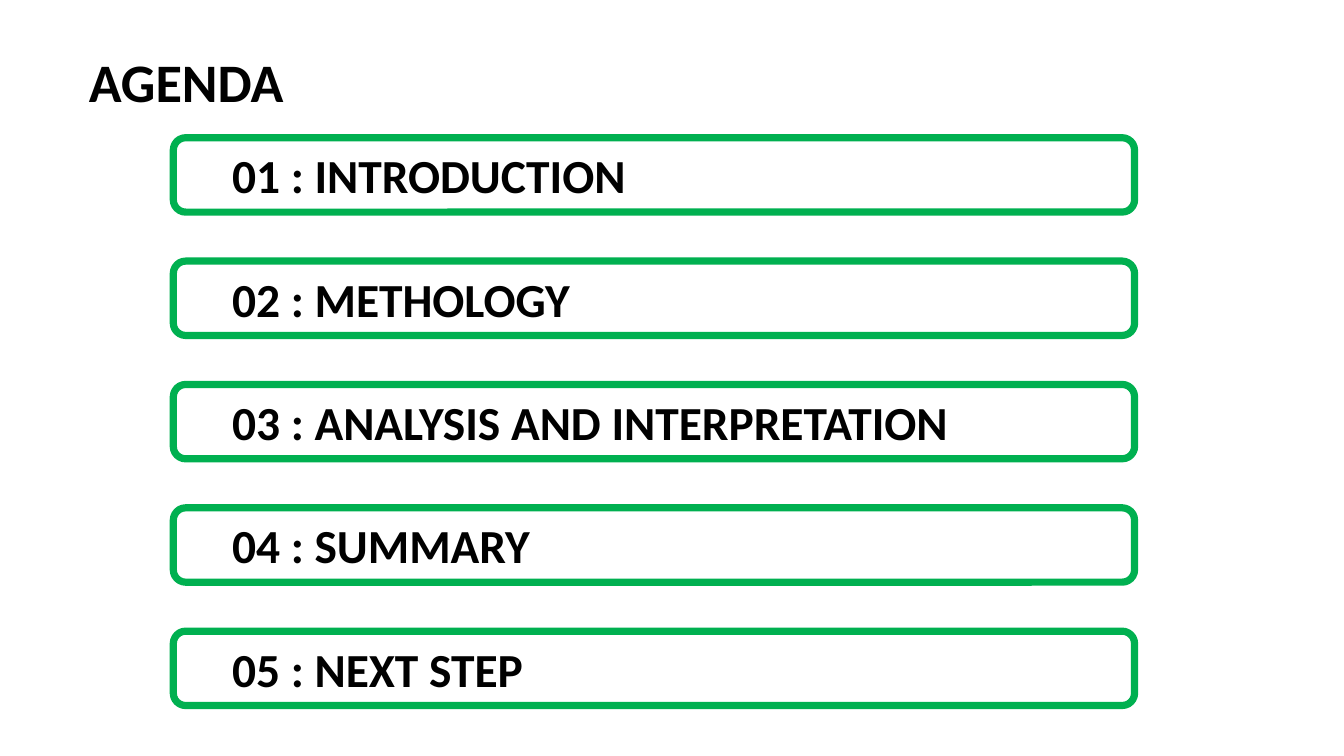
from pptx import Presentation
from pptx.dml.color import RGBColor
from pptx.enum.shapes import MSO_SHAPE
from pptx.enum.text import MSO_ANCHOR, PP_ALIGN
from pptx.util import Cm, Pt

ROUNDED = MSO_SHAPE.ROUNDED_RECTANGLE
MIDDLE = MSO_ANCHOR.MIDDLE
LEFT = PP_ALIGN.LEFT

COLORS = {"text": "000000", "border": "00B050"}
TOPICS = [
    "INTRODUCTION",
    "METHOLOGY",
    "ANALYSIS AND INTERPRETATION",
    "SUMMARY",
    "NEXT STEP",
]
FIRST_TOP, PITCH = 2.87, 2.57


def write_text(holder, text, size, frame_format, paragraph_format):
    """Write one bold line of text with the given frame and paragraph formats."""
    frame = holder.text_frame
    for name, value in {"word_wrap": True, "vertical_anchor": MIDDLE, **frame_format}.items():
        setattr(frame, name, value)
    line = frame.paragraphs[0]
    line.text = text
    for name, value in {"alignment": LEFT, **paragraph_format}.items():
        setattr(line, name, value)
    font = line.runs[0].font
    for name, value in {"name": "Calibri", "size": Pt(size), "bold": True}.items():
        setattr(font, name, value)
    font.color.rgb = RGBColor.from_string(COLORS["text"])


def add_heading(slide, text):
    """Add the slide heading."""
    heading = slide.shapes.add_textbox(Cm(1.6), Cm(0.99), Cm(25.2), Cm(1.55))
    write_text(heading, text, 32, {}, {"line_spacing": 0.9})


def add_topic(slide, number, topic):
    """Add one numbered agenda topic in a rounded outline."""
    top = FIRST_TOP + (number - 1) * PITCH
    bar = slide.shapes.add_shape(ROUNDED, Cm(3.61), Cm(top), Cm(20.02), Cm(1.55))
    bar.shadow.inherit = False
    bar.fill.background()
    bar.line.color.rgb = RGBColor.from_string(COLORS["border"])
    bar.line.width = Pt(4.25)
    write_text(bar, f"{number:02} : {topic}", 28, {"margin_left": Cm(1.15)}, {})


def main():
    """Build the agenda slide and save it."""
    deck = Presentation()
    deck.slide_width, deck.slide_height = Cm(27.99), Cm(15.75)
    slide = deck.slides.add_slide(deck.slide_layouts[6])
    add_heading(slide, "AGENDA")
    for number, topic in enumerate(TOPICS, start=1):
        add_topic(slide, number, topic)
    deck.save("out.pptx")


if __name__ == "__main__":
    main()
